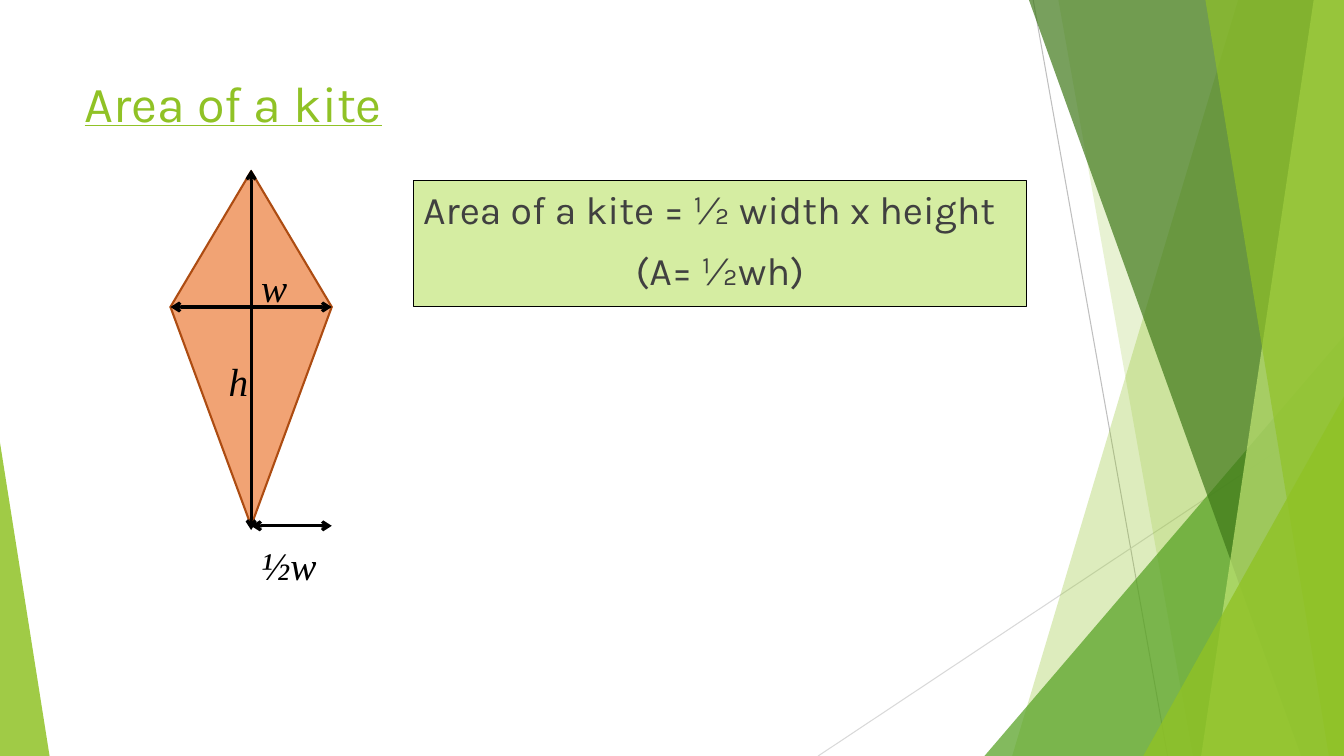
from dataclasses import dataclass
from typing import Optional

from lxml.etree import SubElement
from pptx import Presentation
from pptx.dml.color import RGBColor
from pptx.enum.shapes import MSO_CONNECTOR, MSO_SHAPE
from pptx.enum.text import MSO_ANCHOR, PP_ALIGN
from pptx.oxml.ns import qn
from pptx.util import Inches, Pt

GREEN = RGBColor(0x90, 0xC2, 0x26)
MID_GREEN = RGBColor(0x54, 0xA0, 0x21)
DARK_GREEN = RGBColor(0x3F, 0x78, 0x19)
LIGHT_GREEN = RGBColor(0xC0, 0xE4, 0x74)
PALE_GREEN = RGBColor(0xD5, 0xED, 0xA2)
ORANGE = RGBColor(0xF1, 0xA3, 0x74)
RUST = RGBColor(0xAD, 0x4C, 0x12)
GREY = RGBColor(0xBF, 0xBF, 0xBF)
LIGHT_GREY = RGBColor(0xD9, 0xD9, 0xD9)
CHARCOAL = RGBColor(0x40, 0x40, 0x40)
BLACK = RGBColor(0, 0, 0)

# The slide is a grid of square cells
COLUMNS, ROWS = 160, 90
CELL = Inches(7.5) / ROWS


def cells(count: float) -> int:
    return round(count * CELL)


@dataclass
class Beam:
    """A band running from a slanted edge to the right side of the slide."""
    top: float
    bottom: float
    color: RGBColor
    opacity: int


@dataclass
class Corner:
    """A triangle standing in a bottom corner of the slide."""
    left: float
    top: float
    width: float
    apex: float
    color: RGBColor
    opacity: int


@dataclass
class Stroke:
    start: tuple[float, float]
    end: tuple[float, float]
    color: RGBColor = BLACK
    width: float = 2.25
    arrows: bool = True


@dataclass
class Label:
    text: str
    left: float
    top: float
    width: float


@dataclass
class KiteQuarter:
    left: float
    top: float
    height: float
    flips: tuple[str, ...]


RAYS = [
    Stroke((123, 0), (139, 90), GREY, 0.75, False),
    Stroke((160, 48.4), (97.4, 90), LIGHT_GREY, 0.75, False),
]
FACETS = [
    Beam(147.4, 120.5, GREEN, 30),
    Beam(126, 142, GREEN, 20),
    Corner(117.2, 40, 42.8, 1, MID_GREEN, 72),
    Beam(122.5, 154.9, DARK_GREEN, 70),
    Beam(156.4, 143, LIGHT_GREEN, 70),
    Beam(143.5, 158.2, GREEN, 65),
    Corner(136.1, 47.2, 23.9, 1, GREEN, 80),
    Corner(0, 52.7, 5.9, 0, GREEN, 85),
]

# Kite measures
AXIS, HALF_WIDTH = 29.9, 9.6
KITE_TOP, WAIST, KITE_BOTTOM = 20.4, 36.55, 62.6
QUARTERS = [
    KiteQuarter(left, top, bottom - top, side + half)
    for left, side in ((AXIS, ()), (AXIS - HALF_WIDTH, ("flipH",)))
    for top, bottom, half in ((KITE_TOP, WAIST, ()), (WAIST, KITE_BOTTOM, ("flipV",)))
]
ARROWS = [
    Stroke((AXIS + HALF_WIDTH, KITE_BOTTOM), (AXIS, KITE_BOTTOM)),
    Stroke((AXIS + HALF_WIDTH, WAIST), (AXIS - HALF_WIDTH, WAIST)),
    Stroke((AXIS, 63.1), (AXIS, 20.2)),
]
LABELS = [
    Label("h", 26.04, 42, 4.8),
    Label("w", AXIS, 30.7, 5.5),
    Label("½w", AXIS, 63.8, 9.1),
]


def paint(shape, color: RGBColor, opacity: int = 100) -> None:
    shape.shadow.inherit = False
    shape.line.fill.background()
    shape.fill.solid()
    shape.fill.fore_color.rgb = color
    if opacity < 100:
        value = shape.element.spPr.find(qn("a:solidFill")).find(qn("a:srgbClr"))
        SubElement(value, qn("a:alpha")).set("val", str(opacity * 1000))


def outline(shape, color: RGBColor, width: float) -> None:
    shape.line.color.rgb = color
    shape.line.width = Pt(width)


def draw_stroke(page, stroke: Stroke) -> None:
    ends = [cells(value) for value in stroke.start + stroke.end]
    line = page.shapes.add_connector(MSO_CONNECTOR.STRAIGHT, *ends)
    outline(line, stroke.color, stroke.width)
    properties = line.element.spPr
    if stroke.arrows:
        for tag in ("a:headEnd", "a:tailEnd"):
            SubElement(properties.find(qn("a:ln")), qn(tag)).set("type", "arrow")
    SubElement(properties, qn("a:effectLst"))


def draw_beam(page, beam: Beam) -> None:
    builder = page.shapes.build_freeform(cells(beam.top), 0, scale=1.0)
    corners = [(COLUMNS, 0), (COLUMNS, ROWS), (beam.bottom, ROWS)]
    builder.add_line_segments([(cells(x), cells(y)) for x, y in corners], close=True)
    paint(builder.convert_to_shape(), beam.color, beam.opacity)


def draw_corner(page, corner: Corner) -> None:
    triangle = page.shapes.add_shape(
        MSO_SHAPE.ISOSCELES_TRIANGLE, cells(corner.left), cells(corner.top),
        cells(corner.width), cells(ROWS - corner.top))
    triangle.adjustments[0] = corner.apex
    paint(triangle, corner.color, corner.opacity)


def draw_quarter(page, quarter: KiteQuarter) -> None:
    triangle = page.shapes.add_shape(
        MSO_SHAPE.RIGHT_TRIANGLE, cells(quarter.left), cells(quarter.top),
        cells(HALF_WIDTH), cells(quarter.height))
    for flip in quarter.flips:
        triangle.element.spPr.find(qn("a:xfrm")).set(flip, "1")
    paint(triangle, ORANGE)
    outline(triangle, RUST, 1.5)


def set_font(para, name: str, size: float, color: RGBColor,
             italic: Optional[bool] = None, underline: Optional[bool] = None) -> None:
    font = para.font
    font.name, font.size = name, Pt(size)
    font.italic, font.underline = italic, underline
    font.color.rgb = color


def draw_label(page, label: Label) -> None:
    box = page.shapes.add_textbox(
        cells(label.left), cells(label.top), cells(label.width), cells(6.8))
    box.text_frame.word_wrap = False
    box.text_frame.text = label.text
    set_font(box.text_frame.paragraphs[0], "Times New Roman", 28, BLACK, italic=True)


def draw_title(page) -> None:
    box = page.shapes.add_textbox(cells(8.9), cells(8), cells(112.8), cells(17.3))
    box.text_frame.word_wrap = True
    box.text_frame.text = "Area of a kite"
    set_font(box.text_frame.paragraphs[0], "Karla", 36, GREEN, underline=True)


def draw_formula(page) -> None:
    box = page.shapes.add_shape(
        MSO_SHAPE.RECTANGLE, cells(49.2), cells(21.5), cells(73), cells(15))
    paint(box, PALE_GREEN)
    outline(box, BLACK, 0.75)
    frame = box.text_frame
    frame.word_wrap = True
    frame.vertical_anchor = MSO_ANCHOR.TOP
    frame.text = "Area of a kite = ½ width x height\n(A= ½wh)"
    rule, short_rule = frame.paragraphs
    rule.alignment, short_rule.alignment = PP_ALIGN.LEFT, PP_ALIGN.CENTER
    short_rule.space_before = Pt(10)
    for para in frame.paragraphs:
        set_font(para, "Karla", 28, CHARCOAL)


def main() -> None:
    deck = Presentation()
    deck.slide_width, deck.slide_height = cells(COLUMNS), cells(ROWS)
    page = deck.slides.add_slide(deck.slide_layouts[6])

    # Green backdrop
    for ray in RAYS:
        draw_stroke(page, ray)
    for facet in FACETS:
        if isinstance(facet, Beam):
            draw_beam(page, facet)
        else:
            draw_corner(page, facet)

    # Title and formula
    draw_title(page)
    draw_formula(page)

    # Kite with its measures
    for quarter in QUARTERS:
        draw_quarter(page, quarter)
    for arrow in ARROWS:
        draw_stroke(page, arrow)
    for label in LABELS:
        draw_label(page, label)

    deck.save("out.pptx")


if __name__ == "__main__":
    main()
